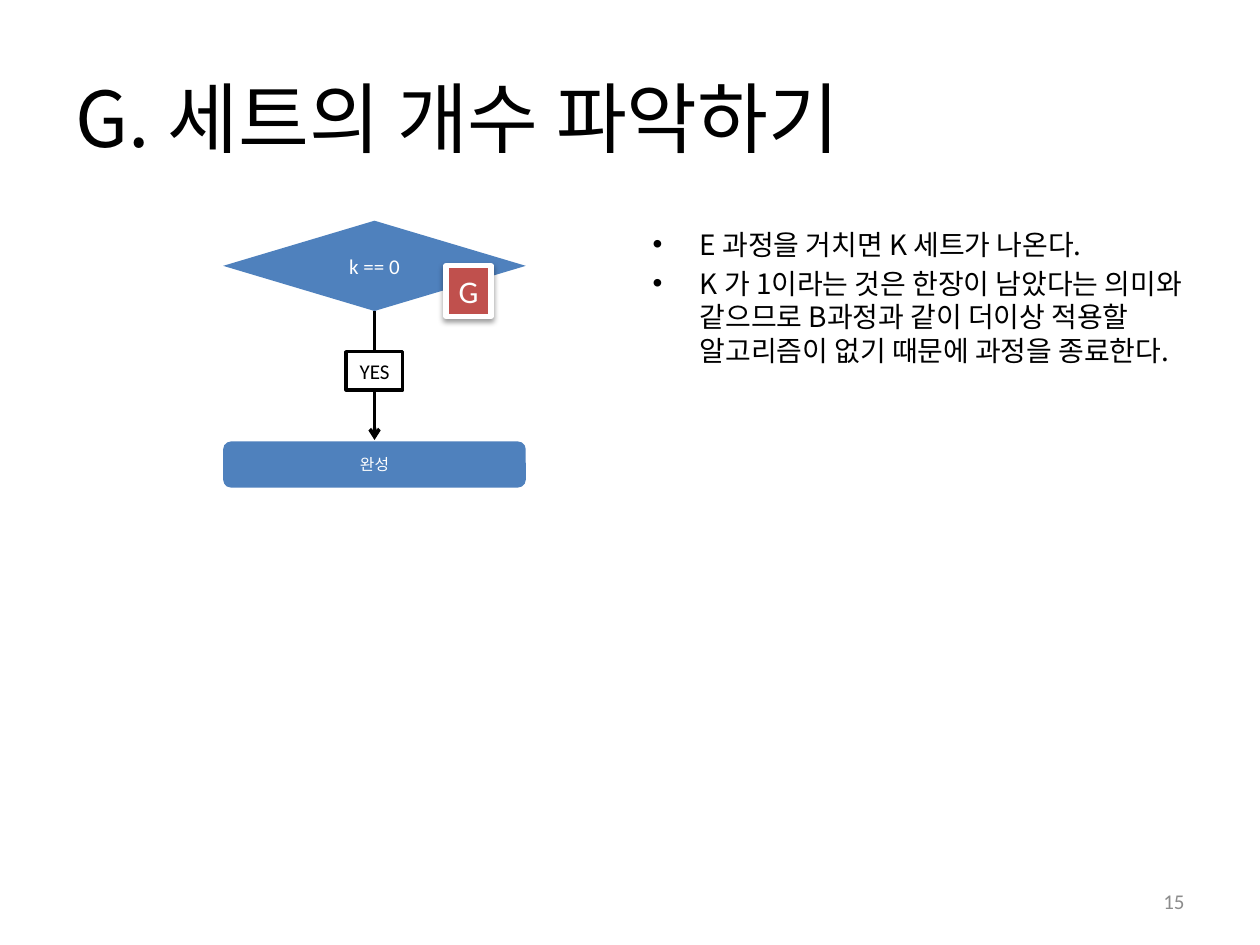
from lxml.etree import SubElement
from pptx import Presentation
from pptx.dml.color import RGBColor
from pptx.enum.shapes import MSO_CONNECTOR, MSO_SHAPE
from pptx.enum.text import MSO_ANCHOR, PP_ALIGN
from pptx.oxml.ns import qn
from pptx.util import Cm, Pt


def tint(code):
    return RGBColor.from_string(code)


class Deck:
    """Holds the style and the current slide, and adds its elements."""

    sans, hangul = "Calibri", "Noto Sans CJK KR"
    blue, red, gray = "4F81BD", "C0504D", "8C8C8C"
    black, white = "000000", "FFFFFF"

    def __init__(self):
        self.show = Presentation()
        self.show.slide_width, self.show.slide_height = Cm(25.4), Cm(19.05)
        self.slide = self.show.slides.add_slide(self.show.slide_layouts[1])

    def place(self, shape, box):
        shape.left, shape.top, shape.width, shape.height = map(Cm, box)

    def add_text(self, para, text, size, font, color, align):
        para.alignment = align
        run = para.add_run()
        run.text = text
        run.font.size, run.font.name = Pt(size), font
        run.font.color.rgb = tint(color)
        SubElement(run.font._element, qn("a:ea"), typeface=font)

    def title(self, box, text):
        shape = self.slide.shapes.title
        self.place(shape, box)
        para = shape.text_frame.paragraphs[0]
        self.add_text(para, text, 44, self.hangul, self.black, PP_ALIGN.LEFT)

    def body(self, box, items):
        shape = self.slide.placeholders[1]
        self.place(shape, box)
        frame = shape.text_frame
        for num, text in enumerate(items):
            para = frame.add_paragraph() if num else frame.paragraphs[0]
            self.add_text(para, text, 16, self.hangul, self.black, PP_ALIGN.LEFT)

    def label(self, box, text, size, color):
        frame = self.slide.shapes.add_textbox(*map(Cm, box)).text_frame
        frame.word_wrap = True
        frame.vertical_anchor = MSO_ANCHOR.MIDDLE
        self.add_text(frame.paragraphs[0], text, size, self.sans, color, PP_ALIGN.RIGHT)

    def node(self, kind, box, text, size, fill, color=white, font=sans, edge=None, width=0):
        shape = self.slide.shapes.add_shape(kind, *map(Cm, box))
        shape.shadow.inherit = False
        shape.fill.solid()
        shape.fill.fore_color.rgb = tint(fill)
        if edge:
            shape.line.color.rgb = tint(edge)
            shape.line.width = Pt(width)
        else:
            shape.line.fill.background()
        frame = shape.text_frame
        frame.word_wrap = False
        frame.vertical_anchor = MSO_ANCHOR.MIDDLE
        self.add_text(frame.paragraphs[0], text, size, font, color, PP_ALIGN.CENTER)
        return shape

    def shade(self, shape):
        effects = shape._element.spPr.find(qn("a:effectLst"))
        outer = SubElement(effects, qn("a:outerShdw"), blurRad=str(Pt(3.1)),
                           dist=str(Pt(1.6)), dir="5400000", rotWithShape="0")
        color = SubElement(outer, qn("a:srgbClr"), val=self.black)
        SubElement(color, qn("a:alpha"), val="38000")

    def arrow(self, x, top, end):
        line = self.slide.shapes.add_connector(
            MSO_CONNECTOR.STRAIGHT, Cm(x), Cm(top), Cm(x), Cm(end))
        line.line.color.rgb = tint(self.black)
        line.line.width = Pt(2)
        props = line._element.spPr
        SubElement(props.find(qn("a:ln")), qn("a:tailEnd"), type="arrow")
        SubElement(props, qn("a:effectLst"))


def main():
    deck = Deck()
    deck.title((1.27, 0.76, 22.86, 3.18), "G. 세트의 개수 파악하기")
    deck.body((12.9, 4.45, 11.23, 12.57), [
        "E 과정을 거치면 K 세트가 나온다.",
        "K 가 1이라는 것은 한장이 남았다는 의미와 같으므로 B과정과 같이 더이상 "
        "적용할 알고리즘이 없기 때문에 과정을 종료한다.",
    ])
    deck.label((18.2, 17.66, 5.93, 1.01), "15", 12, deck.gray)

    left, wide, top, high, goal = 4.5, 6.1, 4.45, 1.82, 8.9
    mid = left + wide / 2
    deck.node(MSO_SHAPE.DIAMOND, (left, top, wide, high), "k == 0", 12, deck.blue)
    badge = deck.node(MSO_SHAPE.RECTANGLE, (8.99, 5.36, 0.91, 1.02), "G", 18,
                      deck.red, edge=deck.white, width=3)
    deck.shade(badge)
    deck.arrow(mid, top + high, goal - 0.03)
    deck.node(MSO_SHAPE.RECTANGLE, (mid - 0.57, 7.09, 1.14, 0.77), "YES", 12,
              deck.white, deck.black, edge=deck.black, width=2)
    deck.node(MSO_SHAPE.ROUNDED_RECTANGLE, (left, goal, wide, 0.93), "완성", 9,
              deck.blue, font=deck.hangul)
    deck.show.save("out.pptx")


if __name__ == "__main__":
    main()
